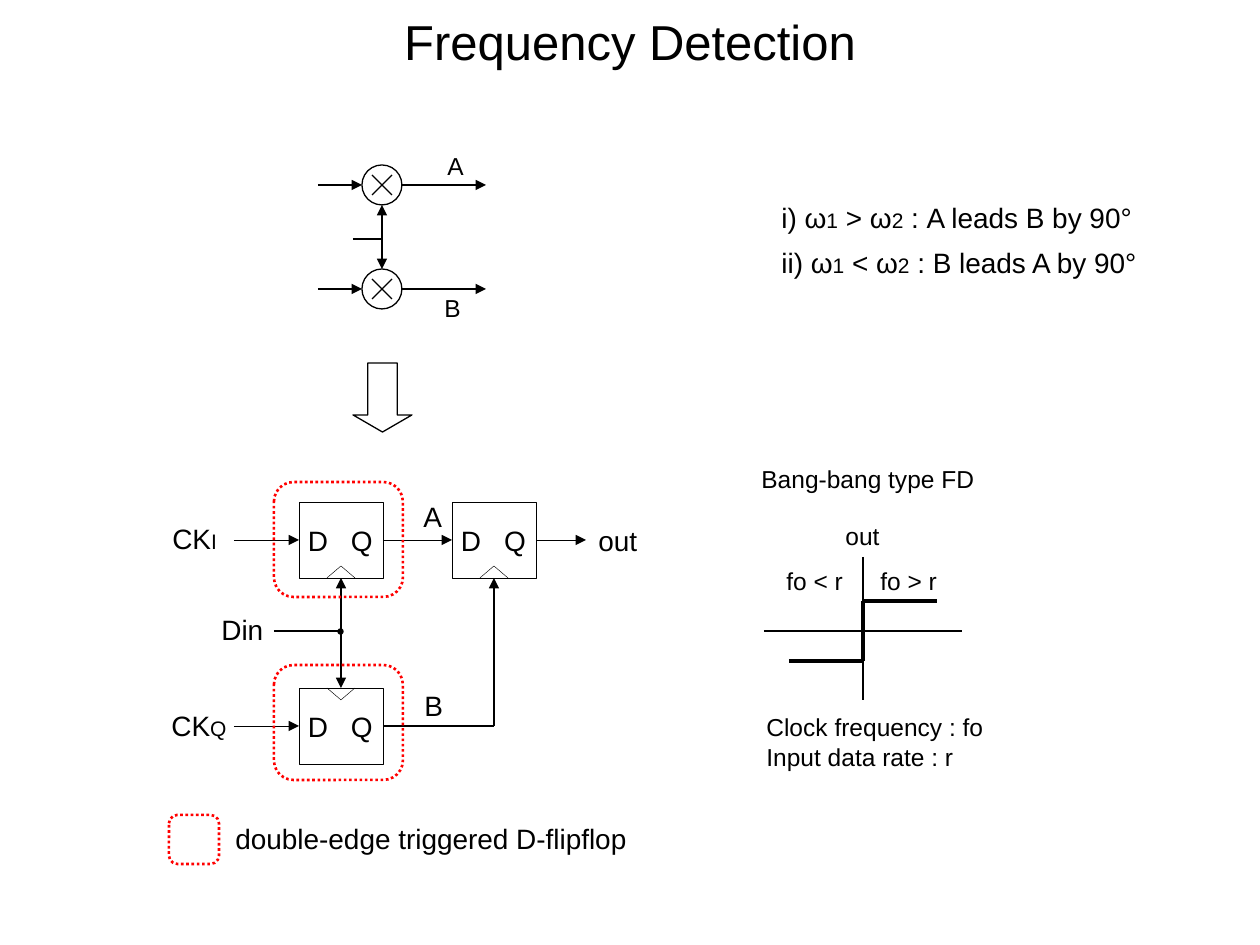
from lxml.etree import SubElement
from pptx import Presentation
from pptx.dml.color import RGBColor
from pptx.enum.dml import MSO_LINE
from pptx.enum.shapes import MSO_CONNECTOR, MSO_SHAPE
from pptx.enum.text import MSO_ANCHOR, PP_ALIGN
from pptx.oxml.ns import qn
from pptx.util import Pt

THEME = {
    "font": "Arial", "ink": RGBColor(0, 0, 0), "mark": RGBColor(255, 0, 0),
    "title": 28, "large": 16, "small": 14, "sub": 12,
    "hair": 0.25, "thin": 0.75, "dots": 1.5, "bold": 2.25,
}
TITLE = "Frequency Detection"

# Text between bars is set in the subscript size.
# text, left, top, width, height, size, wrap
LABELS = [
    ("A", 435, 145, 42, 42, "small", False),
    ("B", 432, 287, 42, 42, "small", False),
    ("i) ω|1| > ω|2| : A leads B by 90°", 769, 194, 410, 47, "large", True),
    ("ii) ω|1| < ω|2| : B leads A by 90°", 769, 239, 410, 47, "large", True),
    ("A", 411, 493, 44, 47, "large", False),
    ("B", 412, 682, 44, 47, "large", False),
    ("CK|I|", 160, 515, 70, 47, "large", False),
    ("CK|Q|", 159, 702, 81, 47, "large", False),
    ("Din", 209, 606, 67, 47, "large", False),
    ("out", 586, 517, 64, 47, "large", False),
    ("double-edge triggered D-flipflop", 223, 815, 417, 47, "large", False),
    ("Bang-bang type FD", 749, 458, 263, 42, "small", True),
    ("out", 833, 515, 69, 42, "small", True),
    ("fo < r", 774, 560, 89, 42, "small", True),
    ("fo > r", 868, 560, 89, 42, "small", True),
    ("Clock frequency : fo\nInput data rate : r", 754, 706, 263, 72, "small", True),
]

# Flip-flops: left, top, clock side (1 bottom, 0 top)
FLOPS = {"I": (299, 502, 1), "out": (452, 502, 1), "Q": (299, 688, 0)}
FLOP_W, FLOP_H = 84, 76
NOTCH_W, NOTCH_H = 28, 12
FLOP_TEXT, FLOP_PAD, FLOP_TAB = "D\tQ", 9, 43

MIX_X, MIX_YS, MIX_R, CROSS = 382, (185, 289), 20, 10
MIX_IN, MIX_OUT = 318, 486
FRAMES = [(274, 482, 129, 115), (274, 665, 129, 115), (169, 815, 50, 49)]

# An end is a point, or a flip-flop name with its side (0 top, 1 left, 2 bottom, 3 right)
# from, to, weight, arrowheads
WIRES = [
    ((MIX_X, 269), (MIX_X, 205), "thin", "both"),
    ((353, 239), (MIX_X, 239), "thin", ""),
    ((234, 540), ("I", 1), "hair", "end"),
    ((234, 726), ("Q", 1), "hair", "end"),
    (("I", 3), ("out", 1), "hair", "end"),
    (("out", 3), (586, 540), "hair", "end"),
    (("I", 2), ("Q", 0), "thin", "both"),
    ((274, 631), (341, 631), "thin", ""),
    (("Q", 3), (494, 726), "thin", ""),
    ((494, 726), ("out", 2), "thin", "end"),
    ((764, 631), (962, 631), "thin", ""),
    ((863, 557), (863, 700), "thin", ""),
    ((863, 601), (937, 601), "bold", ""),
    ((789, 661), (863, 661), "bold", ""),
    ((863, 601), (863, 661), "bold", ""),
]


def px(n):
    return round(n * 914400 / 126)


def put(item, values):
    for key, value in values.items():
        setattr(item, key, value)


def write(par, text, size):
    """Fill a paragraph, with every second part between bars as a subscript."""
    for i, part in enumerate(text.split("|")):
        if part:
            run = par.add_run()
            run.text = part
            put(run.font, {"name": THEME["font"],
                           "size": Pt(THEME["sub" if i % 2 else size])})
            run.font.color.rgb = THEME["ink"]


def stroke(item, weight, color="ink"):
    item.line.color.rgb = THEME[color]
    item.line.width = Pt(THEME[weight])


def draw(kind, box, weight="thin", color="ink", adjust=()):
    item = shapes.add_shape(kind, *map(px, box))
    item.shadow.inherit = False
    item.fill.background()
    stroke(item, weight, color)
    for i, value in enumerate(adjust):
        item.adjustments[i] = value
    return item


def wire(start, end, weight, heads=""):
    joins = [isinstance(spot[0], str) for spot in (start, end)]
    points = [(0, 0) if join else spot for join, spot in zip(joins, (start, end))]
    item = shapes.add_connector(MSO_CONNECTOR.STRAIGHT,
                                *(px(n) for point in points for n in point))
    if joins[0]:
        item.begin_connect(flops[start[0]], start[1])
    if joins[1]:
        item.end_connect(flops[end[0]], end[1])
    stroke(item, weight)
    line = item.line._get_or_add_ln()
    tags = {"": (), "end": ("a:tailEnd",), "both": ("a:headEnd", "a:tailEnd")}
    for tag in tags[heads]:
        SubElement(line, qn(tag), type="triangle")
    SubElement(item._element.spPr, qn("a:effectLst"))


def label(text, left, top, width, height, size, wrap):
    frame = shapes.add_textbox(*map(px, (left, top, width, height))).text_frame
    frame.word_wrap = wrap
    for i, row in enumerate(text.split("\n")):
        write(frame.add_paragraph() if i else frame.paragraphs[0], row, size)


def flop(left, top, below):
    item = draw(MSO_SHAPE.RECTANGLE, (left, top, FLOP_W, FLOP_H), "hair")
    frame = item.text_frame
    put(frame, {"margin_left": px(FLOP_PAD), "margin_right": 0,
                "word_wrap": True, "vertical_anchor": MSO_ANCHOR.MIDDLE})
    par = frame.paragraphs[0]
    par.alignment = PP_ALIGN.LEFT
    tabs = SubElement(par._p.get_or_add_pPr(), qn("a:tabLst"))
    SubElement(tabs, qn("a:tab"), pos=str(px(FLOP_TAB)), algn="l")
    write(par, FLOP_TEXT, "large")
    mid, base = left + FLOP_W // 2, top + FLOP_H * below
    tip = base - NOTCH_H if below else base + NOTCH_H
    path = shapes.build_freeform(px(mid - NOTCH_W // 2), px(base))
    path.add_line_segments([(px(mid), px(tip)), (px(mid + NOTCH_W // 2), px(base))],
                           close=False)
    notch = path.convert_to_shape()
    notch.shadow.inherit = False
    notch.fill.background()
    stroke(notch, "hair")
    return item


def mixer(y):
    draw(MSO_SHAPE.OVAL, (MIX_X - MIX_R, y - MIX_R, 2 * MIX_R, 2 * MIX_R))
    for dy in (-CROSS, CROSS):
        wire((MIX_X - CROSS, y + dy), (MIX_X + CROSS, y - dy), "thin")
    wire((MIX_IN, y), (MIX_X - MIX_R, y), "thin", "end")
    wire((MIX_X + MIX_R, y), (MIX_OUT, y), "thin", "end")


deck = Presentation()
put(deck, {"slide_width": px(1260), "slide_height": px(945)})
slide = deck.slides.add_slide(deck.slide_layouts[5])
shapes = slide.shapes

title = shapes.title
put(title, {"left": 0, "top": px(5), "width": px(1260), "height": px(72)})
put(title.text_frame, {"vertical_anchor": MSO_ANCHOR.MIDDLE, "word_wrap": True})
title.text_frame.paragraphs[0].alignment = PP_ALIGN.CENTER
write(title.text_frame.paragraphs[0], TITLE, "title")

for y in MIX_YS:
    mixer(y)
draw(MSO_SHAPE.DOWN_ARROW, (353, 363, 59, 69), adjust=(0.5, 0.29))
flops = {name: flop(*place) for name, place in FLOPS.items()}
for ends in WIRES:
    wire(*ends)
dot = draw(MSO_SHAPE.OVAL, (338, 629, 5, 5))
dot.fill.solid()
dot.fill.fore_color.rgb = THEME["ink"]
for box in FRAMES:
    frame = draw(MSO_SHAPE.ROUNDED_RECTANGLE, box, "dots", "mark", (0.17,))
    frame.line.dash_style = MSO_LINE.ROUND_DOT
for row in LABELS:
    label(*row)

deck.save("out.pptx")
